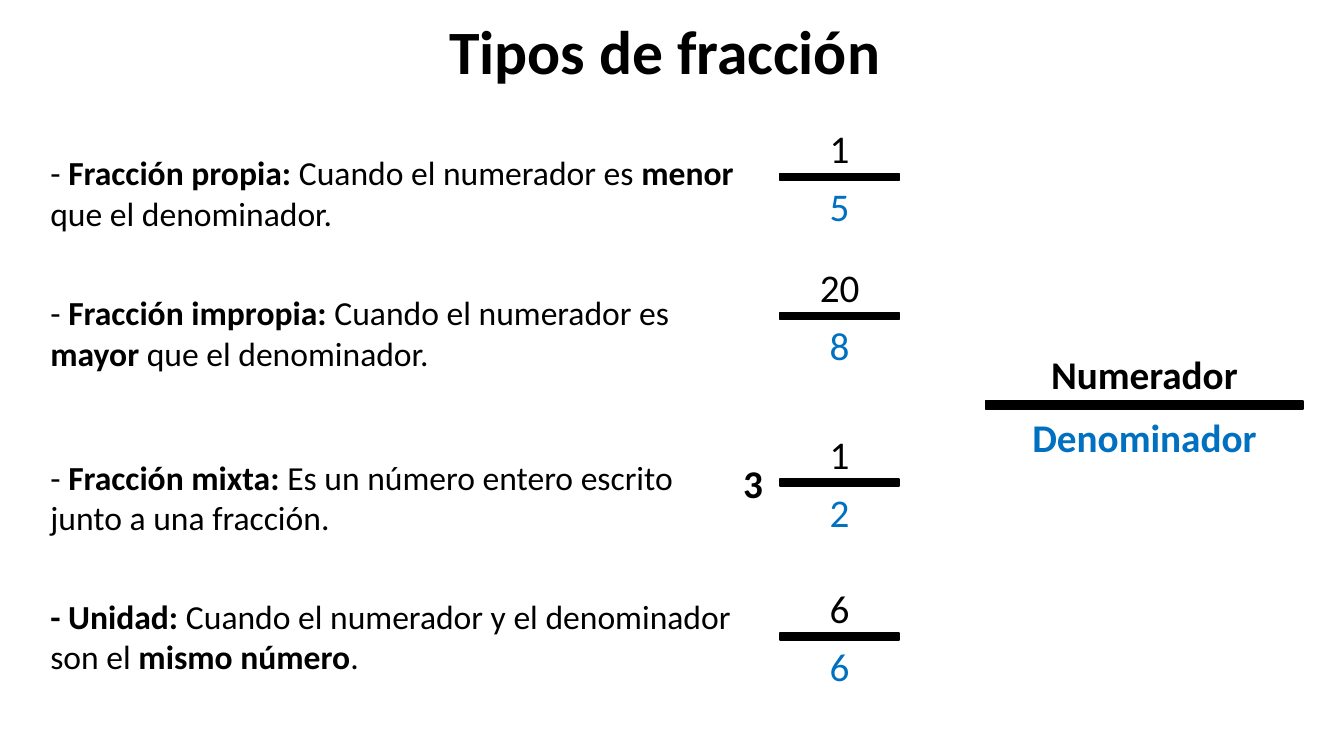
from dataclasses import dataclass

from pptx import Presentation
from pptx.dml.color import RGBColor
from pptx.enum.shapes import MSO_SHAPE
from pptx.enum.text import MSO_ANCHOR, MSO_AUTO_SIZE, PP_ALIGN
from pptx.util import Cm, Pt


@dataclass(frozen=True)
class Theme:
    font: str = "Calibri"
    ink: RGBColor = RGBColor(0x00, 0x00, 0x00)
    accent: RGBColor = RGBColor(0x00, 0x70, 0xC0)
    title: Pt = Pt(44)
    body: Pt = Pt(24)
    number: Pt = Pt(28)
    rule: Pt = Pt(1)


THEME = Theme()
NUMBER_HEIGHT = 1.45
FRACTION_LEFT, FRACTION_WIDTH = 19.66, 3

# Text (bold between asterisks), its top, numerator, denominator, bar top, whole number
TYPES = [
    ("- *Fracción propia: *Cuando el numerador es *menor* que el denominador.",
     3.71, "1", "5", 4.37, None),
    ("- *Fracción impropia: *Cuando el numerador es *mayor *que el denominador.",
     7.24, "20", "8", 7.87, None),
    ("- *Fracción mixta: *Es un número entero escrito junto a una fracción.",
     11.38, "1", "2", 12.07, "3"),
    ("*- Unidad: *Cuando el numerador y el denominador son el *mismo número*.",
     14.88, "6", "6", 15.95, None),
]


def fill_text(tf, text, size, color=THEME.ink, align=PP_ALIGN.LEFT):
    """Write text into a frame; pieces between asterisks are bold."""
    tf.word_wrap = True
    tf.auto_size = MSO_AUTO_SIZE.SHAPE_TO_FIT_TEXT
    tf.vertical_anchor = MSO_ANCHOR.TOP
    p = tf.paragraphs[0]
    p.alignment = align
    p.font.name, p.font.size = THEME.font, size
    p.font.color.rgb = color
    for i, piece in enumerate(text.split("*")):
        if piece:
            r = p.add_run()
            r.text = piece
            r.font.bold = i % 2 == 1


def add_title(s, text):
    sp = s.shapes.title
    sp.left, sp.top, sp.width, sp.height = Cm(0), Cm(0.2), Cm(33.87), Cm(2.13)
    fill_text(sp.text_frame, text, THEME.title, align=PP_ALIGN.CENTER)


def add_text(shapes, text, left, top, width, height, size, **style):
    sp = shapes.add_textbox(Cm(left), Cm(top), Cm(width), Cm(height))
    fill_text(sp.text_frame, text, size, **style)


def add_number(shapes, text, left, top, width, color=THEME.ink):
    add_text(shapes, text, left, top, width, NUMBER_HEIGHT, THEME.number,
             color=color, align=PP_ALIGN.CENTER)


def add_fraction(s, numerator, denominator, left, bar_top, width,
                 rise=1.35, drop=0.1, thickness=0.18, whole=None):
    """Group a numerator, a denominator and the bar between them."""
    shapes = s.shapes.add_group_shape().shapes
    add_number(shapes, numerator, left, bar_top - rise, width)
    add_number(shapes, denominator, left, bar_top + drop, width, THEME.accent)
    bar = shapes.add_shape(MSO_SHAPE.RECTANGLE, Cm(left), Cm(bar_top),
                           Cm(width), Cm(thickness))
    bar.shadow.inherit = False
    bar.fill.solid()
    bar.fill.fore_color.rgb = THEME.ink
    bar.line.color.rgb = THEME.ink
    bar.line.width = THEME.rule
    if whole:
        add_number(shapes, f"*{whole}*", left - 2.18, bar_top - 0.61, width)


def main():
    prs = Presentation()
    prs.slide_width, prs.slide_height = Cm(33.87), Cm(19.05)
    s = prs.slides.add_slide(prs.slide_layouts[5])

    add_title(s, "*Tipos de fracción *")

    # Each type of fraction with its example
    for text, top, numerator, denominator, bar_top, whole in TYPES:
        add_text(s.shapes, text, 1.02, top, 17.78, 2.31, THEME.body)
        add_fraction(s, numerator, denominator, FRACTION_LEFT, bar_top,
                     FRACTION_WIDTH, whole=whole)

    # Names of the parts
    add_fraction(s, "*Numerador*", "*Denominador*", 24.84, 10.11, 8,
                 rise=1.4, drop=0.18, thickness=0.2)

    prs.save("out.pptx")


if __name__ == "__main__":
    main()
